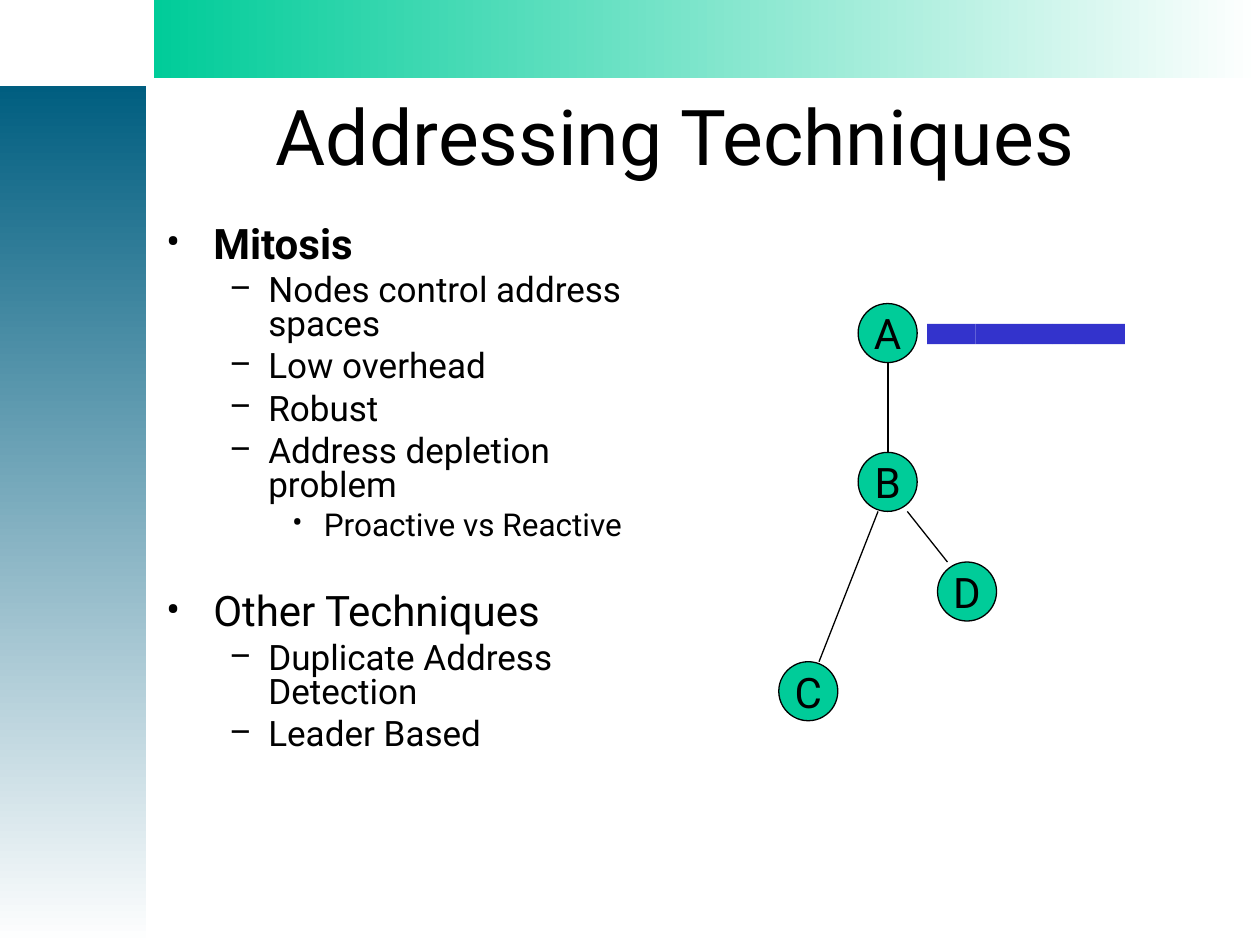
from itertools import pairwise
from lxml import etree
from pptx import Presentation
from pptx import util as u
from pptx.dml.color import RGBColor
from pptx.enum import shapes, text
from pptx.oxml.ns import qn

FONT = "Roboto"
BLACK, WHITE = "000000", "FFFFFF"
GREEN, BLUE, TEAL = "00CC99", "3333CC", "005E80"
NODE = 1.19
LEVELS = [
    (24, 0.95, 0.95, 6, "•"),
    (20, 2.06, 0.79, 5, "–"),
    (18, 3.18, 0.64, 4.5, "•"),
]
ITEMS = [
    (0, "Mitosis"),
    (1, "Nodes control address spaces"),
    (1, "Low overhead"),
    (1, "Robust"),
    (1, "Address depletion problem"),
    (2, "Proactive vs Reactive"),
    (0, "Other Techniques"),
    (1, "Duplicate Address Detection"),
    (1, "Leader Based"),
]
NODES = [("A", 17.3, 6.12), ("B", 17.3, 9.12), ("C", 15.7, 13.34), ("D", 18.9, 11.33)]
LINKS = [
    (17.9, 7.31, 17.9, 9.12),
    (18.29, 10.31, 19.1, 11.33),
    (17.7, 10.31, 16.51, 13.34),
]
EDGES = [18.69, 19.67, 20.62, 21.21, 21.69, 22.68]


def color(code):
    return RGBColor.from_string(code)


def cms(*sizes):
    return [u.Cm(size) for size in sizes]


def style(para, size, bold=False):
    para.font.name = FONT
    para.font.size = u.Pt(size)
    para.font.bold = bold
    para.font.color.rgb = color(BLACK)


def add_shape(slide, kind, *box):
    shape = slide.shapes.add_shape(kind, *cms(*box))
    shape.shadow.inherit = False
    shape.line.fill.background()
    return shape


def add_band(slide, box, start, end, angle):
    fill = add_shape(slide, shapes.MSO_SHAPE.RECTANGLE, *box).fill
    fill.gradient()
    fill.gradient_angle = angle
    for stop, code in zip(fill.gradient_stops, (start, end)):
        stop.color.rgb = color(code)


def set_title(slide, words):
    title = slide.shapes.title
    title.left, title.top, title.width, title.height = cms(3.1, 1.52, 21.03, 2.41)
    frame = title.text_frame
    frame.text = words
    frame.auto_size = text.MSO_AUTO_SIZE.NONE
    frame.vertical_anchor = text.MSO_ANCHOR.MIDDLE
    para = frame.paragraphs[0]
    para.alignment = text.PP_ALIGN.CENTER
    style(para, 44)


def set_bullet(para, mark, left, hang):
    props = para._p.get_or_add_pPr()
    props.set("marL", str(u.Cm(left)))
    props.set("indent", str(-u.Cm(hang)))
    etree.SubElement(props, qn("a:buFont")).set("typeface", FONT)
    etree.SubElement(props, qn("a:buChar")).set("char", mark)


def add_list(slide):
    frame = slide.shapes.add_textbox(*cms(3.1, 4.45, 10.31, 12.57)).text_frame
    frame.word_wrap = True
    for num, (level, words) in enumerate(ITEMS):
        para = frame.add_paragraph() if num else frame.paragraphs[0]
        size, left, hang, gap, mark = LEVELS[level]
        para.text = words
        para.level = level
        para.line_spacing = 0.8
        para.space_before = u.Pt(30 if num and level == 0 else gap)
        style(para, size, bold=num == 0)
        set_bullet(para, mark, left, hang)


def add_node(slide, name, left, top):
    node = add_shape(slide, shapes.MSO_SHAPE.OVAL, left, top, NODE, NODE)
    node.fill.solid()
    node.fill.fore_color.rgb = color(GREEN)
    node.line.color.rgb = color(BLACK)
    node.line.width = u.Pt(0.75)
    frame = node.text_frame
    frame.text = name
    frame.word_wrap = False
    frame.vertical_anchor = text.MSO_ANCHOR.MIDDLE
    para = frame.paragraphs[0]
    para.alignment = text.PP_ALIGN.CENTER
    style(para, 24)


def add_block(slide, left, right):
    block = add_shape(slide, shapes.MSO_SHAPE.RECTANGLE, left, 6.53, right - left, 0.41)
    block.fill.solid()
    block.fill.fore_color.rgb = color(BLUE)


def add_link(slide, *ends):
    link = slide.shapes.add_connector(shapes.MSO_CONNECTOR.STRAIGHT, *cms(*ends))
    link.line.color.rgb = color(BLACK)
    link.line.width = u.Pt(0.75)
    etree.SubElement(link._element.spPr, qn("a:effectLst"))


def main():
    deck = Presentation()
    deck.slide_width, deck.slide_height = cms(25.4, 19.05)
    slide = deck.slides.add_slide(deck.slide_layouts[5])
    add_band(slide, (0, 1.73, 2.95, 17.32), TEAL, WHITE, 270)
    add_band(slide, (3.1, 0, 22.3, 1.57), GREEN, WHITE, 0)
    set_title(slide, "Addressing Techniques")
    add_list(slide)
    for node in NODES:
        add_node(slide, *node)
    for left, right in pairwise(EDGES):
        add_block(slide, left, right)
    for link in LINKS:
        add_link(slide, *link)
    deck.save("out.pptx")


if __name__ == "__main__":
    main()
